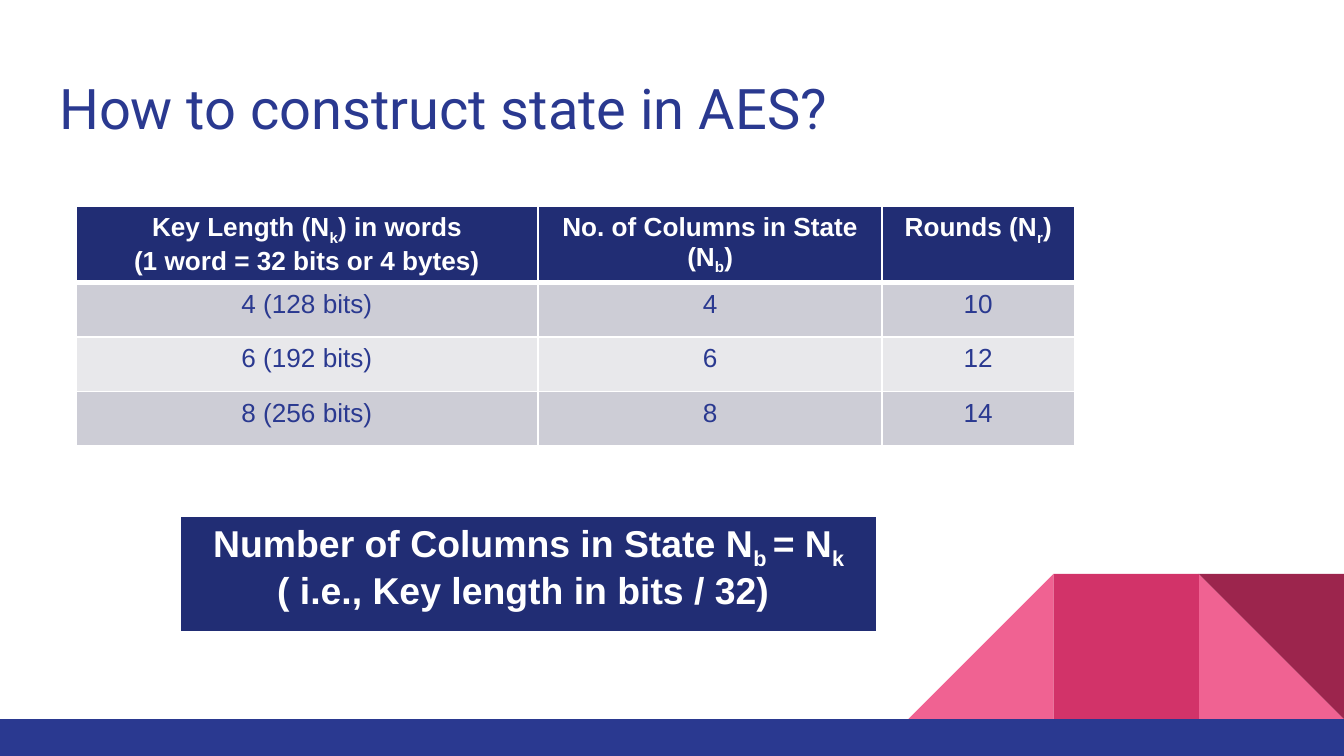
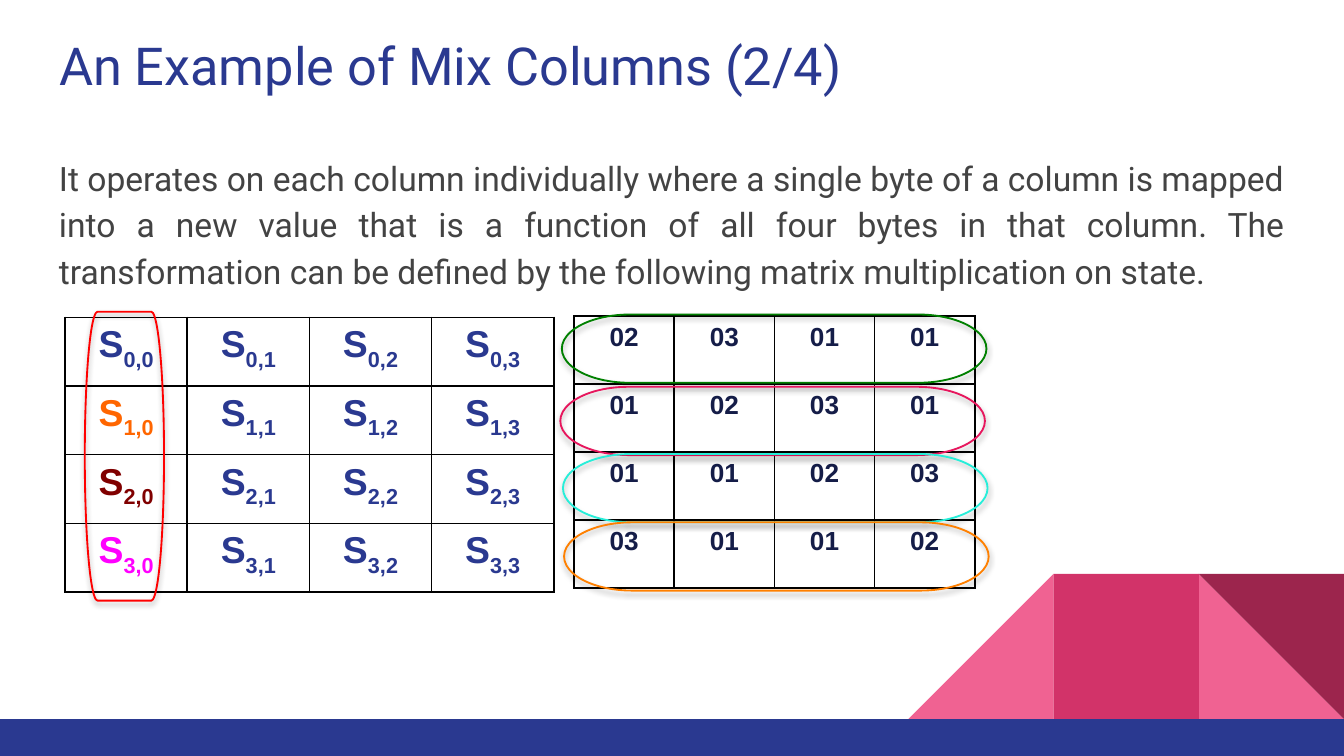
from lxml import etree
from pptx import Presentation
from pptx.dml.color import RGBColor
from pptx.enum.shapes import MSO_SHAPE as SHAPE
from pptx.enum.text import MSO_ANCHOR as ANCHOR, PP_ALIGN as ALIGN
from pptx.oxml.ns import qn
from pptx.util import Pt

WIDTH, HEIGHT = 720, 405
BAND_TOP = 385.2
TILE = 77.8

WHITE = RGBColor(0xFF, 0xFF, 0xFF)
BLACK = RGBColor(0x00, 0x00, 0x00)
BLUE = RGBColor(0x2A, 0x39, 0x90)
NAVY = RGBColor(0x21, 0x2D, 0x74)
INK = RGBColor(0x15, 0x1D, 0x48)
GREY = RGBColor(0x43, 0x43, 0x43)
DARK_ROW = RGBColor(0xCD, 0xCD, 0xD6)
LIGHT_ROW = RGBColor(0xE8, 0xE8, 0xEB)
PINK = RGBColor(0xF0, 0x62, 0x92)
ROSE = RGBColor(0xD2, 0x33, 0x69)
WINE = RGBColor(0x9C, 0x25, 0x4D)
RED = RGBColor(0xFF, 0x00, 0x00)
GREEN = RGBColor(0x00, 0x80, 0x00)
CRIMSON = RGBColor(0xE7, 0x16, 0x5D)
TURQUOISE = RGBColor(0x27, 0xEE, 0xD9)
AMBER = RGBColor(0xFF, 0x80, 0x00)
ORANGE = RGBColor(0xFF, 0x66, 0x00)
MAROON = RGBColor(0x80, 0x00, 0x00)
MAGENTA = RGBColor(0xFF, 0x00, 0xFF)


class Deck:
    title_font = "Roboto"
    table_font = "Arial"

    def __init__(self):
        self.prs = Presentation()
        self.prs.slide_width, self.prs.slide_height = Pt(WIDTH), Pt(HEIGHT)
        self.slide = None

    def new_slide(self, title, top, size):
        self.slide = self.prs.slides.add_slide(self.prs.slide_layouts[5])
        self.decorate()
        sp = self.slide.shapes.title
        sp.left, sp.top, sp.width, sp.height = Pt(24.5), Pt(top), Pt(671), Pt(47.5)
        self.fill_frame(sp.text_frame, title, size, BLUE, ALIGN.LEFT)

    def decorate(self):
        top, right = BAND_TOP - TILE, WIDTH - TILE
        self.block(SHAPE.RIGHT_TRIANGLE, right, top, TILE, TILE, PINK)
        sp = self.block(SHAPE.RIGHT_TRIANGLE, right - 2 * TILE, top, TILE, TILE, PINK)
        sp._element.spPr.xfrm.set("flipH", "1")
        self.block(SHAPE.RECTANGLE, right - TILE, top, TILE, TILE, ROSE)
        sp = self.block(SHAPE.RIGHT_TRIANGLE, right, top, TILE, TILE, WINE)
        sp.rotation = 180
        self.block(SHAPE.RECTANGLE, 0, BAND_TOP, WIDTH, HEIGHT - BAND_TOP, BLUE)

    def block(self, kind, left, top, width, height, color):
        sp = self.slide.shapes.add_shape(kind, Pt(left), Pt(top), Pt(width), Pt(height))
        sp.shadow.inherit = False
        sp.fill.solid()
        sp.fill.fore_color.rgb = color
        sp.line.fill.background()
        return sp

    def fill_frame(self, tf, text, size, color, align):
        tf.word_wrap = True
        tf.vertical_anchor = ANCHOR.TOP
        tf.margin_left = tf.margin_right = tf.margin_top = tf.margin_bottom = Pt(7.2)
        self.set_text(tf.paragraphs[0], text, self.title_font, size, color, align)

    def body(self, text, left, top, width, height):
        sp = self.slide.shapes.add_textbox(Pt(left), Pt(top), Pt(width), Pt(height))
        self.fill_frame(sp.text_frame, text, 18, GREY, ALIGN.JUSTIFY)
        sp.text_frame.paragraphs[0].line_spacing = 1.15

    def set_text(self, p, text, font, size, color, align, bold=False):
        """Fill a paragraph; every second part between ~ marks is a subscript."""
        p.alignment = align
        p.font.name, p.font.size, p.font.bold = font, Pt(size), bold
        p.font.color.rgb = color
        for i, part in enumerate(text.split("~")):
            if part:
                r = p.add_run()
                r.text = part
                if i % 2:
                    r.font._element.set("baseline", "-25000")

    def table(self, left, top, cols, heights, rows, size, style, border, header=False):
        """Draw a table; style(row, col) gives text colour, fill or None, and bold."""
        frame = self.slide.shapes.add_table(
            len(rows), len(cols), Pt(left), Pt(top), Pt(sum(cols)), Pt(sum(heights)))
        table = frame.table
        table.first_row = table.horz_banding = False
        for col, width in zip(table.columns, cols):
            col.width = Pt(width)
        for i, (row, height) in enumerate(zip(rows, heights)):
            table.rows[i].height = Pt(height)
            for j, text in enumerate(row):
                cell = table.cell(i, j)
                color, fill, bold = style(i, j)
                self.cell_borders(cell, border,
                                  top=3 if header and i == 1 else 1,
                                  bottom=3 if header and i == 0 else 1)
                if fill is None:
                    cell.fill.background()
                else:
                    cell.fill.solid()
                    cell.fill.fore_color.rgb = fill
                tf = cell.text_frame
                for k, line in enumerate(text.split("\n")):
                    p = tf.add_paragraph() if k else tf.paragraphs[0]
                    self.set_text(p, line, self.table_font, size, color, ALIGN.CENTER, bold)

    def cell_borders(self, cell, color, top, bottom):
        tcPr = cell._tc.get_or_add_tcPr()
        for side, width in (("L", 1), ("R", 1), ("T", top), ("B", bottom)):
            ln = etree.SubElement(tcPr, qn(f"a:ln{side}"), w=str(Pt(width)))
            fill = etree.SubElement(ln, qn("a:solidFill"))
            etree.SubElement(fill, qn("a:srgbClr"), val=str(color))

    def ring(self, left, top, width, height, color):
        """Outline a row or column with a rounded, softly shadowed loop."""
        sp = self.slide.shapes.add_shape(
            SHAPE.FLOWCHART_TERMINATOR, Pt(left), Pt(top), Pt(width), Pt(height))
        sp.fill.background()
        sp.line.color.rgb = color
        sp.line.width = Pt(1)
        sp.shadow.inherit = False
        effects = sp._element.spPr.find(qn("a:effectLst"))
        shadow = etree.SubElement(
            effects, qn("a:outerShdw"), blurRad=str(Pt(3.1)), dist=str(Pt(1.8)),
            dir="5400000", rotWithShape="0")
        clr = etree.SubElement(shadow, qn("a:srgbClr"), val=str(BLACK))
        etree.SubElement(clr, qn("a:alpha"), val="35000")


def key_style(row, col):
    if row == 0:
        return WHITE, NAVY, True
    return BLUE, DARK_ROW if row % 2 else LIGHT_ROW, False


def state_style(row, col):
    first_column = (BLUE, ORANGE, MAROON, MAGENTA)
    return BLUE if col else first_column[row], None, True


def factor_style(row, col):
    return INK, None, True


def state_slide(deck):
    deck.new_slide("How to construct state in AES?", 32.4, 30)
    key_rows = [
        ("Key Length (N~k~) in words\n(1 word = 32 bits or 4 bytes)",
         "No. of Columns in State (N~b~)", "Rounds (N~r~)"),
        ("4 (128 bits)", "4", "10"),
        ("6 (192 bits)", "6", "12"),
        ("8 (256 bits)", "8", "14"),
    ]
    deck.table(40.6, 110.5, (247.7, 184.3, 103), (40,) + (29.2,) * 3, key_rows,
               14, key_style, WHITE, header=True)
    formula = "Number of Columns in State N~b ~= N~k ~( i.e., Key length in bits / 32) "
    deck.table(96.7, 276.8, (373,), (62.5,), [(formula,)],
               20, key_style, WHITE, header=True)


def mix_columns_slide(deck):
    deck.new_slide("An Example of Mix Columns (2/4)", 10.8, 28)
    deck.body("It operates on each column individually where a single byte of a column "
              "is mapped into a new value that is a function of all four bytes in that "
              "column. The transformation can be defined by the following matrix "
              "multiplication on state.", 24.5, 74.2, 671, 297.4)
    state = [[f"S~{i},{j}~" for j in range(4)] for i in range(4)]
    deck.table(34.8, 170, (65.5,) * 4, (36.8,) * 4, state, 20, state_style, BLACK)

    first_row = ("02", "03", "01", "01")
    factors = [[first_row[(j - i) % 4] for j in range(4)] for i in range(4)]
    deck.table(307.5, 169.2, (53.7,) * 4, (36.5,) * 4, factors, 14, factor_style, BLACK)

    deck.ring(45.4, 167, 42.5, 154.8, RED)
    for left, top, color in ((301, 168.5, GREEN), (300.2, 207.2, CRIMSON),
                             (301.6, 243.2, TURQUOISE), (302.2, 279.8, AMBER)):
        deck.ring(left, top, 227.5, 36.6, color)


def main():
    deck = Deck()
    state_slide(deck)
    mix_columns_slide(deck)
    deck.prs.save("out.pptx")


if __name__ == "__main__":
    main()
